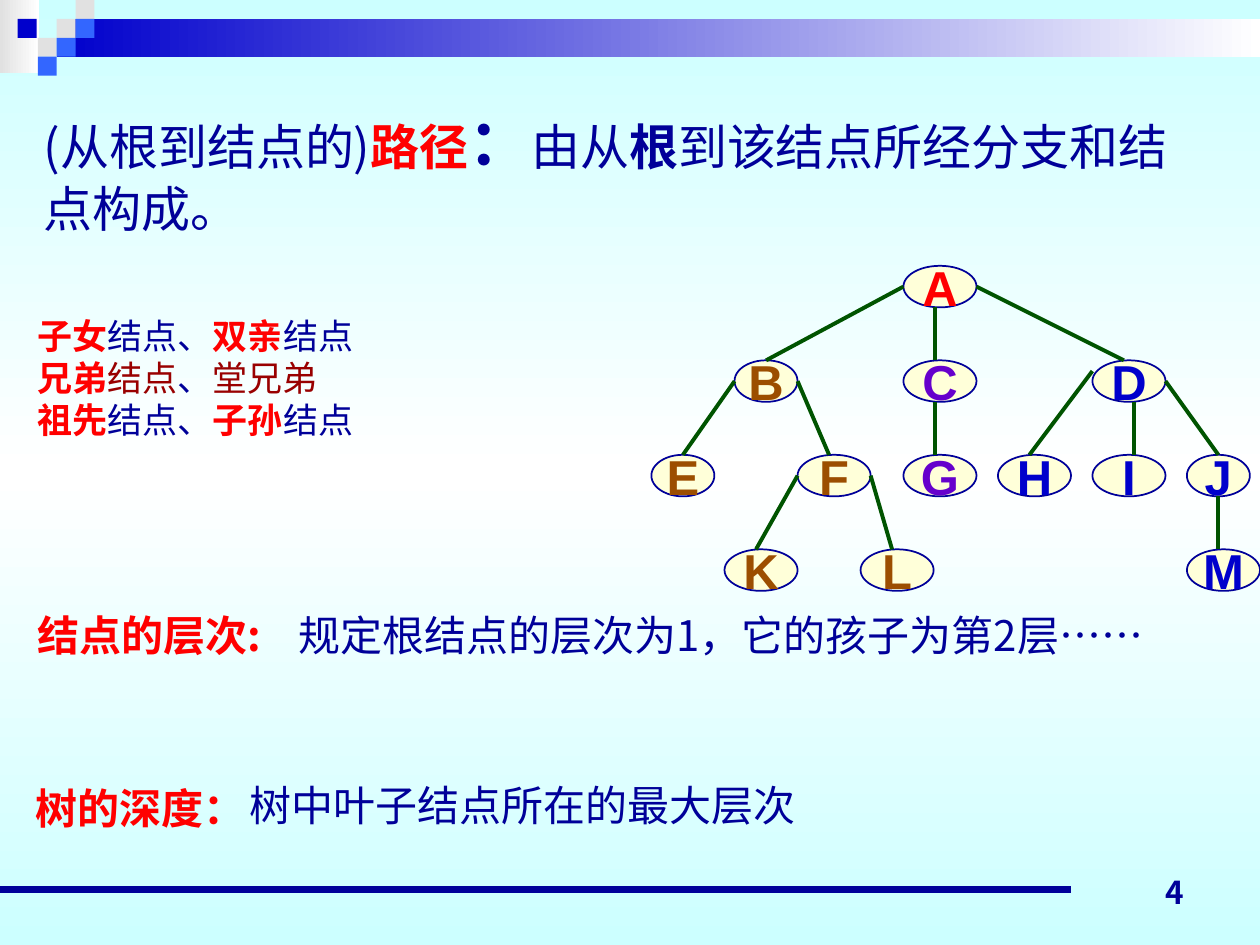
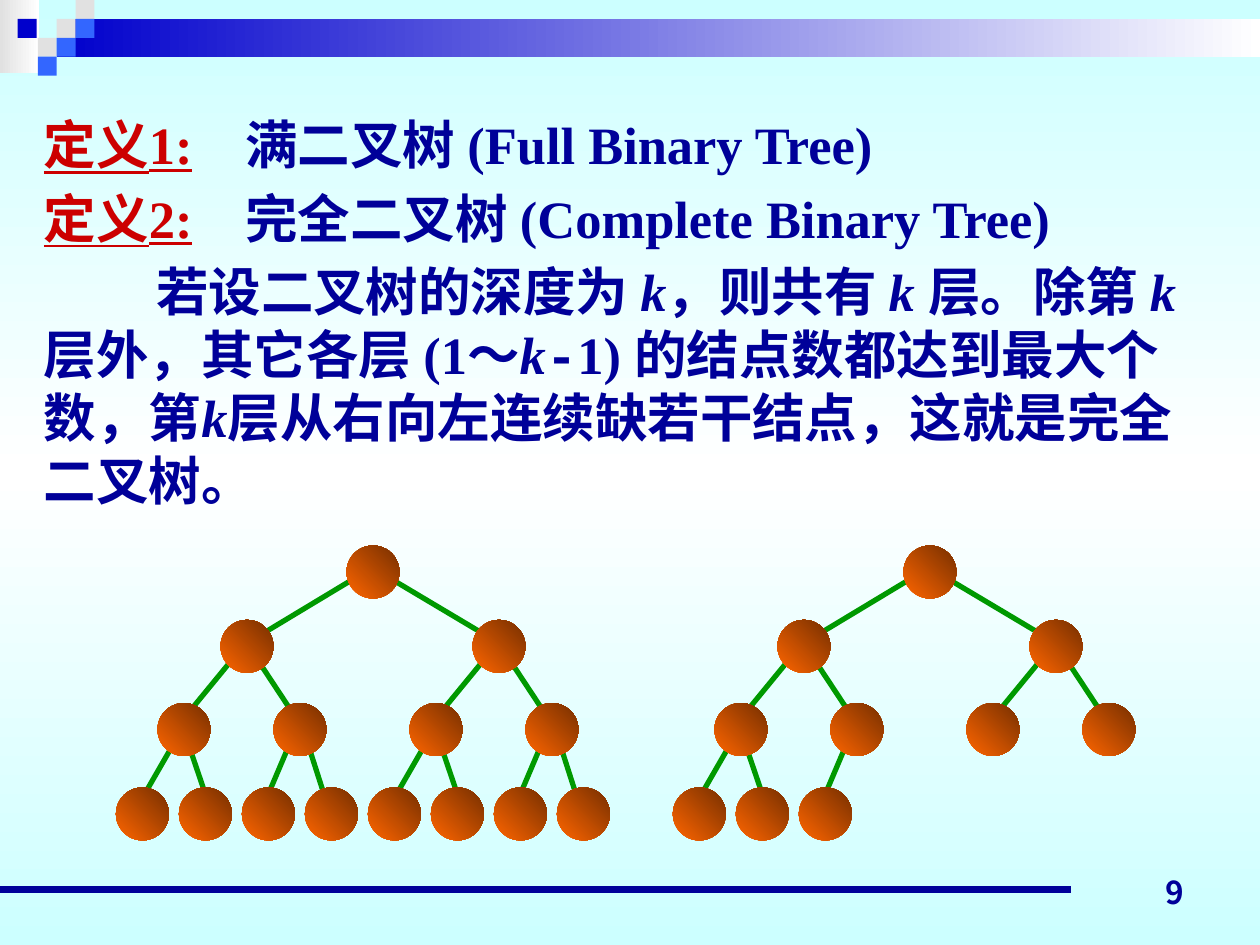
"""Builds two lecture slides about tree terms and full and complete binary trees."""
import copy
from dataclasses import dataclass

import lxml.etree
import pptx
import pptx.dml.color
import pptx.enum.shapes
import pptx.enum.text
import pptx.oxml.ns
import pptx.util

Inches = pptx.util.Inches
Pt = pptx.util.Pt
qn = pptx.oxml.ns.qn
Kind = pptx.enum.shapes.MSO_SHAPE
Anchor = pptx.enum.text.MSO_ANCHOR
Align = pptx.enum.text.PP_ALIGN


@dataclass(frozen=True)
class Theme:
    navy: str = "000099"
    blue: str = "0000CC"
    sky: str = "3366FF"
    gray: str = "E1E1E1"
    white: str = "FFFFFF"
    ice: str = "CCFFFF"
    red: str = "FF0000"
    wine: str = "990000"
    brick: str = "CC0000"
    cream: str = "FFFFD9"
    brown: str = "9C4E00"
    plum: str = "6600CC"
    pine: str = "005400"
    green: str = "009900"
    flame: str = "FF6600"
    rust: str = "762F00"
    hans: str = "Noto Sans CJK SC"
    page: str = "Noto Sans CJK JP"
    sans: str = "Arial"
    serif: str = "Times New Roman"
    mono: str = "Courier New"
    foot: int = 18
    small: int = 20
    body: int = 24
    head: int = 28
    term: int = 30
    colon: int = 36


T = Theme()
PLAIN = {"name": T.hans, "size": T.body, "bold": False, "color": T.navy}
KEY = {"color": T.red, "bold": True}
BOLD = {"bold": True}
WINE = {"color": T.wine}
SANS = {"name": T.sans}
TERM = {"color": T.brick, "underline": True}
ITAL = {"italic": True}


class Deck:
    def __init__(self):
        self.show = pptx.Presentation()
        self.show.slide_width = Inches(10)
        self.show.slide_height = Inches(7.5)
        self.slide = None

    def tint(self, text):
        return pptx.dml.color.RGBColor.from_string(text)

    def grade(self, owner, fill, hues, angle=0):
        fill.gradient()
        fill.gradient_angle = angle
        stops = owner.element.find(".//" + qn("a:gsLst"))
        while len(stops) < len(hues):
            stops.append(copy.deepcopy(stops[0]))
        for i, (stop, hue) in enumerate(zip(fill.gradient_stops, hues)):
            stop.color.rgb = self.tint(hue)
            stop.position = i / (len(hues) - 1)

    def shape(self, kind, at, fill, angle=0, edge=None):
        item = self.slide.shapes.add_shape(kind, *map(Inches, at))
        item.shadow.inherit = False
        if isinstance(fill, str):
            item.fill.solid()
            item.fill.fore_color.rgb = self.tint(fill)
        else:
            self.grade(item, item.fill, fill, angle)
        if edge:
            item.line.color.rgb = self.tint(edge)
            item.line.width = Pt(1)
        else:
            item.line.fill.background()
        return item

    def line(self, ends, hue, width):
        item = self.slide.shapes.add_connector(
            pptx.enum.shapes.MSO_CONNECTOR.STRAIGHT, *map(Inches, ends))
        item.line.color.rgb = self.tint(hue)
        item.line.width = Pt(width)
        lxml.etree.SubElement(item.element.spPr, qn("a:effectLst"))

    def run(self, para, text, style):
        run = para.add_run()
        run.text = text
        for key, value in style.items():
            if key == "color":
                run.font.color.rgb = self.tint(value)
            else:
                setattr(run.font, key, Pt(value) if key == "size" else value)
        east = lxml.etree.SubElement(run.font._element, qn("a:ea"))
        east.set("typeface", T.hans)

    def text(self, at, paras, base=None, pitch=None, dents=(), gap=0, **frame):
        base = {**PLAIN, **(base or {})}
        box = self.slide.shapes.add_textbox(*map(Inches, at)).text_frame
        for key, value in {"word_wrap": True, **frame}.items():
            setattr(box, key, value)
        for i, runs in enumerate(paras):
            para = box.add_paragraph() if i else box.paragraphs[0]
            if dents:
                for key, value in zip(("marL", "indent"), dents[i]):
                    para._p.get_or_add_pPr().set(key, str(Inches(value)))
            para.line_spacing = Pt(pitch or base["size"] * 1.2)
            if i and gap:
                para.space_before = Pt(gap)
            for words, style in runs:
                self.run(para, words, {**base, **style})
        return box

    def node(self, name, at, hue):
        item = self.shape(Kind.OVAL, at, T.cream, edge=T.navy)
        box = item.text_frame
        box.word_wrap = False
        box.vertical_anchor = Anchor.MIDDLE
        para = box.paragraphs[0]
        para.alignment = Align.CENTER
        self.run(para, name, {"name": T.sans, "size": T.head, "bold": True, "color": hue})

    def start(self, number):
        self.slide = self.show.slides.add_slide(self.show.slide_layouts[6])
        self.grade(self.slide, self.slide.background.fill, (T.ice, T.white, T.ice), 270)
        self.shape(Kind.RECTANGLE, (0, 0, 0.31, 0.58), (T.gray, T.white))
        self.shape(Kind.RECTANGLE, (0.45, 0.15, 9.55, 0.3), (T.blue, T.white))
        tiles = ((0.45, 0.15, T.gray), (0.6, 0, T.gray), (0.6, 0.15, T.sky), (0.3, 0.3, T.gray),
                 (0.14, 0.15, T.blue), (0.45, 0.3, T.sky), (0.3, 0.45, T.sky))
        for x, y, hue in tiles:
            self.shape(Kind.RECTANGLE, (x, y, 0.15, 0.15), hue)
        self.line((0, 7.06, 8.5, 7.06), T.navy, 4.5)
        box = self.text((7.17, 6.78, 2.33, 0.5), [[(number, {})]],
                        {"name": T.page, "size": T.foot, "bold": True},
                        vertical_anchor=Anchor.BOTTOM)
        box.paragraphs[0].alignment = Align.RIGHT


NODES = {
    "A": (None, 7.17, 0, 0.58, T.red),
    "B": ("A", 5.83, 1, 0.5, T.brown),
    "C": ("A", 7.17, 1, 0.58, T.plum),
    "D": ("A", 8.67, 1, 0.58, T.blue),
    "E": ("B", 5.17, 2, 0.5, T.brown),
    "F": ("B", 6.33, 2, 0.58, T.brown),
    "G": ("C", 7.17, 2, 0.58, T.plum),
    "H": ("D", 7.92, 2, 0.58, T.blue),
    "I": ("D", 8.67, 2, 0.58, T.blue),
    "J": ("D", 9.42, 2, 0.5, T.blue),
    "M": ("J", 9.42, 3, 0.58, T.blue),
    "K": ("F", 5.75, 3, 0.58, T.brown),
    "L": ("F", 6.83, 3, 0.58, T.brown),
}
SHIFT = {"H": (0, -0.08), "I": (0.08, 0)}


def draw_names(deck):
    tall = 0.33
    tops = [2.11 + 0.75 * level for level in range(4)]
    for name, (_, x, level, wide, hue) in NODES.items():
        deck.node(name, (x, tops[level], wide, tall), hue)
    for name, (up, x, level, _, _) in NODES.items():
        if up is None:
            continue
        _, left, rank, wide, _ = NODES[up]
        right, down = SHIFT.get(name, (0, 0))
        end = x + 0.25 + right
        if x == left:
            begin = end, tops[rank] + tall
        else:
            begin = (left if x < left else left + wide), tops[rank] + tall / 2 + down
        deck.line((*begin, end, tops[level]), T.pine, 2.25)


BALLS = (
    (4.33, ((2.75, None),)),
    (4.92, ((1.75, (2.83, 4.58, 2, 5.08)), (3.75, (3.08, 4.58, 3.92, 5.08)))),
    (5.58, ((1.25, (1.83, 5.25, 1.42, 5.75)), (2.17, (2, 5.17, 2.33, 5.67)))),
    (6.25, ((0.92, (1.42, 5.83, 1.08, 6.42)), (1.42, (1.5, 5.92, 1.67, 6.42)),
            (1.92, (2.33, 5.83, 2.08, 6.42)), (2.42, (2.42, 5.83, 2.58, 6.33)))),
)


def draw_balls(deck, shift, count):
    spots = []
    for level, (top, half) in enumerate(BALLS):
        for i in range(min(2 ** level, count - len(spots))):
            x, link = half[i % len(half)]
            move = shift + 2 * (i // len(half))
            spots.append((x + move, top))
            if link:
                x1, y1, x2, y2 = link
                deck.line((x1 + move, y1, x2 + move, y2), T.green, 3)
    for x, y in spots:
        deck.shape(Kind.OVAL, (x, y, 0.42, 0.42), (T.flame, T.rust), 45)


def draw_terms(deck):
    deck.start("4")
    deck.text((0.2, 2.45, 5.07, 1.11), [
        [("子女", KEY), ("结点、", {}), ("双亲", KEY), ("结点", {})],
        [("兄弟", KEY), ("结点", WINE), ("、", {}), ("堂兄弟", WINE)],
        [("祖先", KEY), ("结点、", {}), ("子孙", KEY), ("结点", {})],
    ], {"size": T.small})
    deck.text((0.2, 4.79, 2.06, 0.5), [[("结点的层次:", KEY)]], word_wrap=False)
    deck.text((0.18, 6.16, 2.92, 0.5), [[("树的深度：", KEY)]], SANS)
    deck.text((0.25, 0.75, 9.42, 1.18), [[
        ("(从根到结点的)", {}), ("路径", KEY), ("：", {"size": T.colon, "bold": True}),
        ("由从", {}), ("根", BOLD), ("到该结点所经分支和结点构成。", {}),
    ]], {"size": T.head}, pitch=34, margin_top=Inches(0.19))
    draw_names(deck)
    deck.text((2.27, 4.79, 7.73, 0.5),
              [[("规定根结点的层次为1，它的孩子为第2层", {}), ("……", SANS)]])
    deck.text((1.88, 6.14, 4.58, 0.5), [[("树中叶子结点所在的最大层次", {})]],
              SANS, word_wrap=False)


def draw_kinds(deck):
    deck.start("9")
    draw_balls(deck, 0, 15)
    draw_balls(deck, 4.42, 10)
    deck.text((0.25, 0.84, 9.42, 4.25), [
        [("定义1:", TERM), ("\t满二叉树 (Full Binary Tree)", {})],
        [("定义2:", TERM), ("\t完全二叉树 (Complete Binary Tree)", {})],
        [("若设二叉树的深度为 ", {}), ("k", ITAL), ("，则共有 ", {}), ("k ", ITAL),
         ("层。除第 ", {}), ("k ", ITAL), ("层外，其它各层 (1", {}),
         ("～", {"name": T.hans}), ("k", ITAL), ("-", {"name": T.mono}),
         ("1) 的结点数都达到最大个数，第", {}), ("k", ITAL),
         ("层从右向左连续缺若干结点，这就是完全二叉树。", {})],
    ], {"name": T.serif, "size": T.term, "bold": True},
        dents=((1.6, -1.6), (1.6, -1.6), (0, 0.89)), gap=6)


def main():
    deck = Deck()
    draw_terms(deck)
    draw_kinds(deck)
    deck.show.save("out.pptx")


if __name__ == "__main__":
    main()
